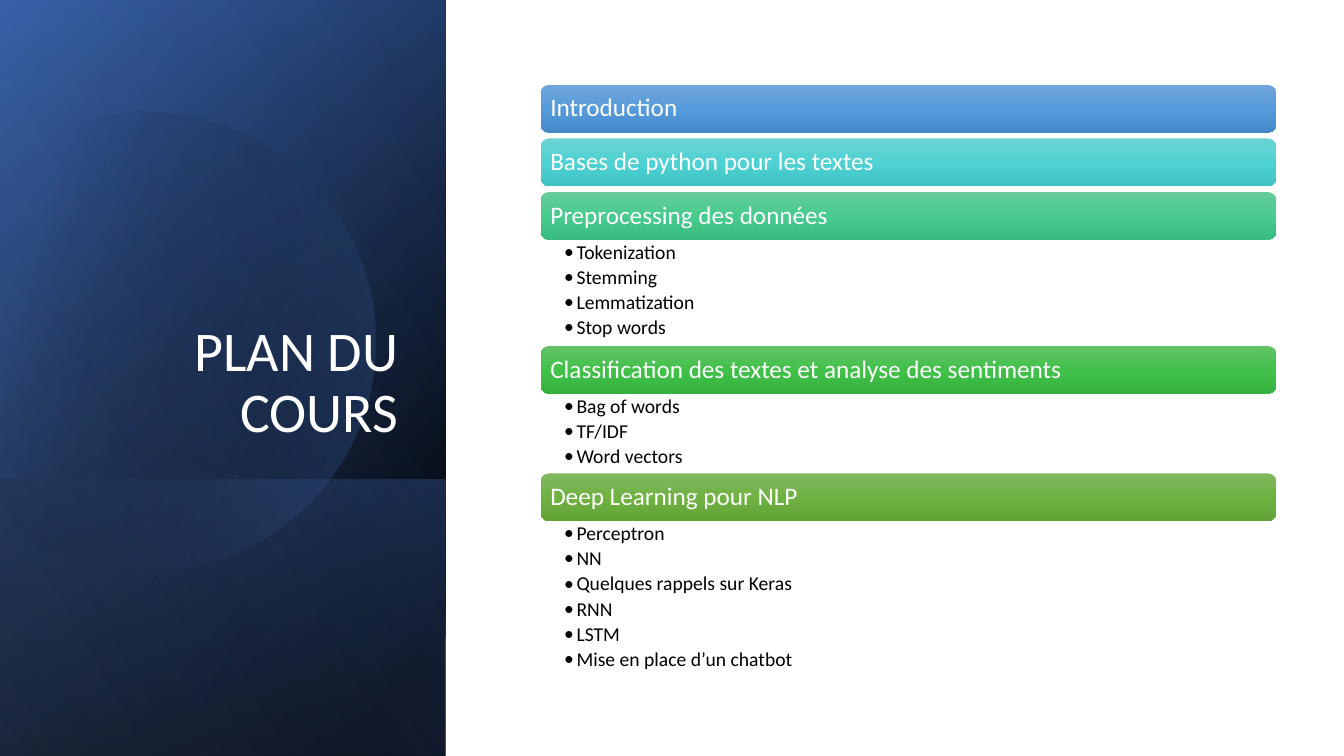
import math

import lxml.etree
import pptx
import pptx.dml.color
import pptx.enum.shapes
import pptx.enum.text
import pptx.oxml.ns
import pptx.util

Cm = pptx.util.Cm
Pt = pptx.util.Pt
RGBColor = pptx.dml.color.RGBColor
qn = pptx.oxml.ns.qn
ALIGN = pptx.enum.text.PP_ALIGN
ANCHOR = pptx.enum.text.MSO_ANCHOR
SHAPE = pptx.enum.shapes.MSO_SHAPE

FONT = "Calibri"
BLACK = RGBColor(0x00, 0x00, 0x00)
WHITE = RGBColor(0xFF, 0xFF, 0xFF)
NAVY = RGBColor(0x2F, 0x55, 0x97)
BLUE = RGBColor(0x44, 0x72, 0xC4)
PALE_BLUE = RGBColor(0x8F, 0xAA, 0xDC)

TITLE = "PLAN DU COURS"

# Heading, gradient colours from top to bottom, sub-topics
SECTIONS = [
    ("Introduction", ("71A6DB", "559BDB", "448ACA"), []),
    ("Bases de python pour les textes", ("6CD3D3", "4ED2D3", "3EC2C3"), []),
    ("Preprocessing des données", ("67CC9A", "47CB8E", "39BB7F"),
     ["Tokenization", "Stemming", "Lemmatization", "Stop words"]),
    ("Classification des textes et analyse des sentiments",
     ("63C368", "42C14A", "34B23D"),
     ["Bag of words", "TF/IDF", "Word vectors"]),
    ("Deep Learning pour NLP", ("81B861", "6FB242", "62A336"),
     ["Perceptron", "NN", "Quelques rappels sur Keras", "RNN", "LSTM",
      "Mise en place d’un chatbot"]),
]

SLIDE_WIDTH, SLIDE_HEIGHT = 33.87, 19.05
PANEL_WIDTH = 11.23
BAND_TOP = 12.09

# Top of the layer, gradient stops (position %, colour, opacity %), angle
LAYERS_BELOW_DISC = [
    (0, [(8, BLACK, 100), (100, NAVY, 100)], 50),
    (0, [(0, BLACK, 0), (99, BLUE, 46)], 30),
    (BAND_TOP, [(2, BLUE, 29), (100, BLACK, 30)], 130),
]
LAYERS_ABOVE_DISC = [(0, [(0, BLACK, 0), (99, PALE_BLUE, 11)], 120)]

DISC_CENTER = (3.64, 8.5)
DISC_RADIUS = 5.8
DISC_ANGLES = [-118, -90, 0, 90, 150]
DISC_ROTATION = 343.9
DISC_STOPS = [(29, BLACK, 0), (100, BLUE, 43)]

LIST_LEFT, LIST_TOP, LIST_WIDTH = 13.63, 2.14, 18.53
BAR_HEIGHT, BAR_GAP, TOPIC_HEIGHT = 1.2, 0.15, 0.67


def paint_gradient(shape, stops, angle):
    """Fill with (position, colour, opacity) stops; angle runs clockwise."""
    shape.shadow.inherit = False
    shape.line.fill.background()
    shape.fill.gradient()
    shape.fill.gradient_angle = 360 - angle
    stop_list = shape._element.spPr.find(".//" + qn("a:gsLst"))
    for old_stop in list(stop_list):
        stop_list.remove(old_stop)
    for position, color, opacity in stops:
        stop = lxml.etree.SubElement(stop_list, qn("a:gs"), pos=str(position * 1000))
        fill = lxml.etree.SubElement(stop, qn("a:srgbClr"), val=str(color))
        if opacity < 100:
            lxml.etree.SubElement(fill, qn("a:alpha"), val=str(opacity * 1000))


def add_layer(shapes, top, stops, angle):
    """Add a mirrored rectangle, turned by 90°, from top to the slide's foot."""
    width, height = SLIDE_HEIGHT - top, PANEL_WIDTH
    left = (PANEL_WIDTH - width) / 2
    middle = (top + SLIDE_HEIGHT) / 2
    layer = shapes.add_shape(SHAPE.RECTANGLE, Cm(left), Cm(middle - height / 2),
                             Cm(width), Cm(height))
    layer.rotation = 90
    layer._element.spPr.xfrm.set("flipH", "1")
    paint_gradient(layer, stops, angle)


def disc_point(degree, tangent=0):
    """Point on the rim, moved along the tangent by a share of the radius."""
    cosine, sine = math.cos(math.radians(degree)), math.sin(math.radians(degree))
    return (Cm(DISC_CENTER[0] + DISC_RADIUS * (cosine - tangent * sine)),
            Cm(DISC_CENTER[1] + DISC_RADIUS * (sine + tangent * cosine)))


def add_disc(shapes):
    """Add the cut disc, its straight rim segments bent into arcs."""
    rim = [disc_point(degree) for degree in DISC_ANGLES]
    builder = shapes.build_freeform(*rim[0])
    builder.add_line_segments(rim[1:], close=True)
    disc = builder.convert_to_shape()
    segments = disc._element.spPr.findall(".//" + qn("a:lnTo"))
    for segment, start, end in zip(segments, DISC_ANGLES, DISC_ANGLES[1:]):
        reach = 4 / 3 * math.tan(math.radians(end - start) / 4)
        segment.tag = qn("a:cubicBezTo")
        controls = [disc_point(start, reach), disc_point(end, -reach)]
        for index, (x, y) in enumerate(controls):
            control = segment.makeelement(
                qn("a:pt"), {"x": str(x - disc.left), "y": str(y - disc.top)})
            segment.insert(index, control)
    disc.rotation = DISC_ROTATION
    paint_gradient(disc, DISC_STOPS, 30)


def set_margins(text_frame, left, top, right, bottom):
    text_frame.margin_left, text_frame.margin_top = Cm(left), Cm(top)
    text_frame.margin_right, text_frame.margin_bottom = Cm(right), Cm(bottom)


def format_paragraph(paragraph, size, color, alignment=ALIGN.LEFT):
    paragraph.alignment = alignment
    paragraph.line_spacing = 0.9
    for font in [paragraph.font] + [run.font for run in paragraph.runs]:
        font.name = FONT
        font.size = Pt(size)
        font.color.rgb = color


def format_title(title):
    title.left, title.top = Cm(1.63), Cm(4.67)
    title.width, title.height = Cm(8.66), Cm(6.65)
    text_frame = title.text_frame
    text_frame.text = TITLE
    text_frame.word_wrap = True
    text_frame.auto_size = pptx.enum.text.MSO_AUTO_SIZE.NONE
    text_frame.vertical_anchor = ANCHOR.BOTTOM
    format_paragraph(text_frame.paragraphs[0], 40, WHITE, ALIGN.RIGHT)


def add_bar(shapes, top, heading, colors):
    bar = shapes.add_shape(SHAPE.ROUNDED_RECTANGLE, Cm(LIST_LEFT), Cm(top),
                           Cm(LIST_WIDTH), Cm(BAR_HEIGHT))
    paint_gradient(bar, [(position, RGBColor.from_string(color), 100)
                         for position, color in zip((0, 50, 100), colors)], 90)
    text_frame = bar.text_frame
    text_frame.text = heading
    text_frame.word_wrap = True
    text_frame.vertical_anchor = ANCHOR.MIDDLE
    set_margins(text_frame, 0.18, 0.18, 0.18, 0.18)
    format_paragraph(text_frame.paragraphs[0], 18, WHITE)


def add_topics(shapes, top, topics):
    box = shapes.add_textbox(Cm(LIST_LEFT), Cm(top), Cm(LIST_WIDTH),
                             Cm(TOPIC_HEIGHT * len(topics)))
    text_frame = box.text_frame
    text_frame.text = "\n".join(topics)
    text_frame.word_wrap = True
    set_margins(text_frame, 0.59, 0.07, 0.36, 0.07)
    for paragraph in text_frame.paragraphs:
        properties = paragraph._p.get_or_add_pPr()
        properties.set("marL", str(Cm(0.31)))
        properties.set("indent", str(-Cm(0.31)))
        lxml.etree.SubElement(properties, qn("a:buFont"), typeface=FONT)
        lxml.etree.SubElement(properties, qn("a:buChar"), char="•")
        paragraph.level = 1
        paragraph.space_after = Pt(2.8)
        format_paragraph(paragraph, 14, BLACK)


def main():
    presentation = pptx.Presentation()
    presentation.slide_width = Cm(SLIDE_WIDTH)
    presentation.slide_height = Cm(SLIDE_HEIGHT)
    slide = presentation.slides.add_slide(presentation.slide_layouts[5])
    shapes = slide.shapes

    for layer in LAYERS_BELOW_DISC:
        add_layer(shapes, *layer)
    add_disc(shapes)
    for layer in LAYERS_ABOVE_DISC:
        add_layer(shapes, *layer)

    title = shapes.title
    format_title(title)
    shapes._spTree.append(title._element)  # bring in front of the panel

    top = LIST_TOP
    for heading, colors, topics in SECTIONS:
        add_bar(shapes, top, heading, colors)
        top += BAR_HEIGHT
        add_topics(shapes, top, topics) if topics else None
        top += TOPIC_HEIGHT * len(topics) if topics else BAR_GAP

    presentation.save("out.pptx")


if __name__ == "__main__":
    main()
